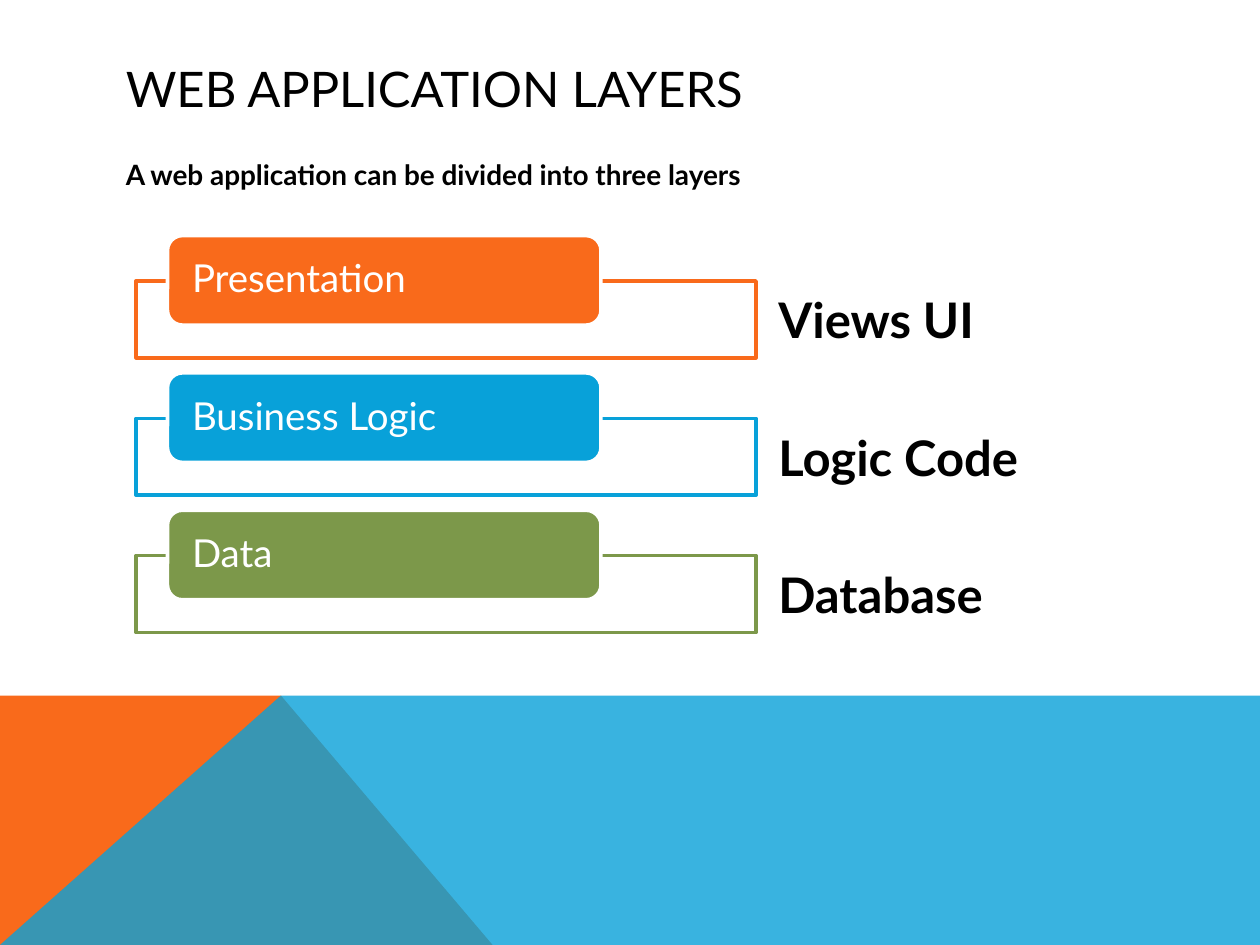
from dataclasses import dataclass

from lxml import etree
from pptx import Presentation
from pptx.dml.color import RGBColor
from pptx.enum.shapes import MSO_SHAPE as Shape
from pptx.enum.text import MSO_ANCHOR as Anchor, PP_ALIGN as Align
from pptx.oxml.ns import qn
from pptx.util import Inches, Pt


@dataclass(frozen=True)
class Theme:
    font: str = "Lato"
    black: str = "000000"
    white: str = "FFFFFF"
    orange: str = "F96A1B"
    blue: str = "08A1D9"
    green: str = "7C984A"
    title: int = 28
    body: int = 16
    tab: int = 22
    label: int = 28
    line: int = 2


T = Theme()
LAYERS = [
    ("Presentation", "Views UI", T.orange),
    ("Business Logic", "Logic Code", T.blue),
    ("Data", "Database", T.green),
]
FIRST_TOP, STEP = 1.87, 1.09


def rgb(color):
    return RGBColor.from_string(color)


def box(left, top, width, height):
    return [Inches(v) for v in (left, top, width, height)]


def set_all(obj, values):
    for name, value in values.items():
        setattr(obj, name, value)


def paint(sp, fill, line=None, opacity=100):
    sp.shadow.inherit = False
    sp.fill.solid()
    sp.fill.fore_color.rgb = rgb(fill)
    if opacity < 100:
        clr = sp.fill._xPr.find(qn("a:solidFill"))[0]
        etree.SubElement(clr, qn("a:alpha")).set("val", str(opacity * 1000))
    if line:
        sp.line.color.rgb = rgb(line)
        sp.line.width = Pt(T.line)
    else:
        sp.line.fill.background()


def write(sp, text, size, color=T.black, bold=False, frame=None, para=None):
    tf = sp.text_frame
    set_all(tf, {"word_wrap": True, **(frame or {})})
    p = tf.paragraphs[0]
    set_all(p, {"alignment": Align.LEFT, **(para or {})})
    r = p.add_run()
    r.text = text
    set_all(r.font, {"name": T.font, "size": Pt(size), "bold": bold})
    r.font.color.rgb = rgb(color)


def add_text(s, place, text, size, **style):
    write(s.shapes.add_textbox(*box(*place)), text, size, **style)


def add_block(s, kind, place, fill, line, opacity=100):
    sp = s.shapes.add_shape(kind, *box(*place))
    paint(sp, fill, line, opacity)
    return sp


def add_polygon(s, points, fill, opacity=100):
    start, *rest = [(Inches(x), Inches(y)) for x, y in points]
    builder = s.shapes.build_freeform(*start)
    builder.add_line_segments(rest, close=True)
    paint(builder.convert_to_shape(), fill, opacity=opacity)


def add_layer(s, top, name, label, color):
    # Outlined panel behind a filled tab
    add_block(s, Shape.RECTANGLE, (1.08, top + 0.36, 4.92, 0.61),
              T.white, color, opacity=90)
    tab = add_block(s, Shape.ROUNDED_RECTANGLE, (1.33, top, 3.44, 0.71),
                    color, T.white)
    write(tab, name, T.tab, color=T.white,
          frame={"vertical_anchor": Anchor.MIDDLE,
                 "margin_left": Inches(0.16), "margin_right": Inches(0.16),
                 "margin_top": 0, "margin_bottom": 0},
          para={"line_spacing": 0.9})
    # Label beside the panel
    add_text(s, (6.08, top + 0.38, 2.67, 0.57), label, T.label, bold=True)


def main():
    prs = Presentation()
    prs.slide_width, prs.slide_height = Inches(10), Inches(7.5)
    s = prs.slides.add_slide(prs.slide_layouts[6])

    # Footer band
    add_polygon(s, [(0, 7.5), (0, 5.52), (2.23, 5.52), (3.91, 7.5)], T.orange)
    add_polygon(s, [(0, 7.5), (2.23, 5.52), (10, 5.52), (10, 7.5)],
                T.blue, opacity=80)

    # Title and introduction
    add_text(s, (0.9, 0.4, 8.22, 0.6), "WEB APPLICATION LAYERS", T.title,
             frame={"vertical_anchor": Anchor.MIDDLE})
    add_text(s, (0.9, 1.2, 8.22, 0.5),
             "A web application can be divided into three layers", T.body,
             bold=True, para={"space_before": Pt(8)})

    # Application layers
    for i, layer in enumerate(LAYERS):
        add_layer(s, FIRST_TOP + i * STEP, *layer)

    prs.save("out.pptx")


main()
